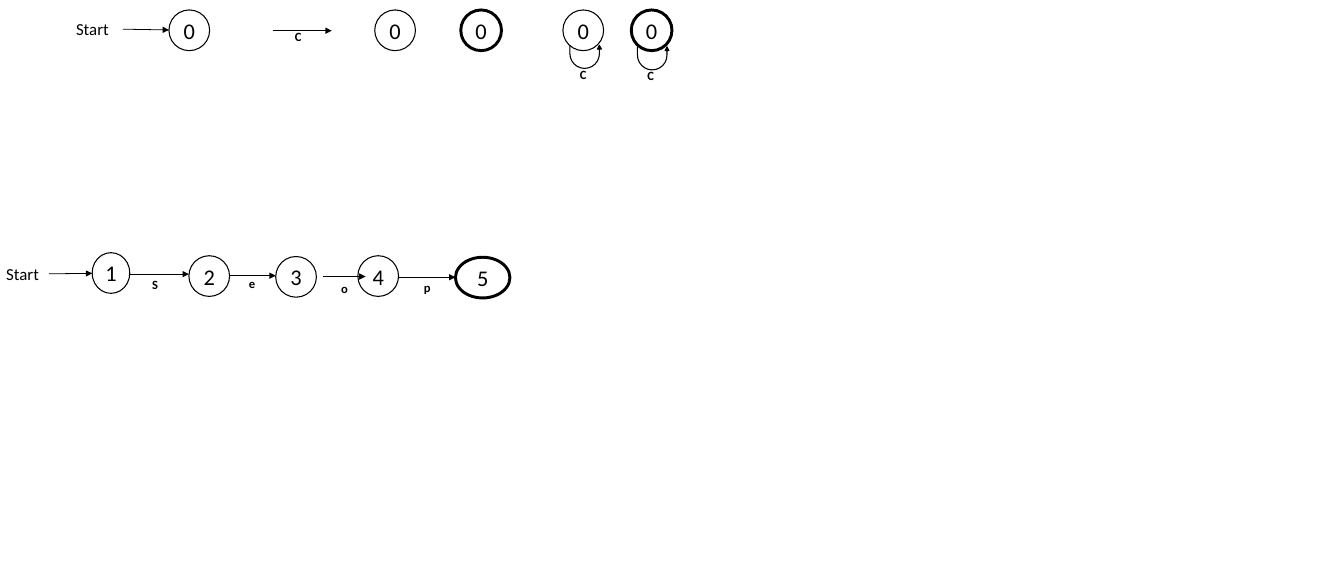
from collections import namedtuple

from lxml.etree import SubElement
from pptx import Presentation
from pptx.dml.color import RGBColor
from pptx.enum.shapes import MSO_CONNECTOR as Connector, MSO_SHAPE as Preset
from pptx.enum.text import MSO_ANCHOR as Anchor, PP_ALIGN as Align
from pptx.oxml.ns import qn
from pptx.util import Inches, Pt

BLACK = RGBColor(0, 0, 0)
COLUMNS, ROWS = 175, 75
SLIDE_WIDTH, SLIDE_HEIGHT = Inches(17.5), Inches(7.5)
STATE_SIZE = 5.3
THIN, ACCEPTING = 1, 2.75
LOOP_BENDS = (0, 0.085, 0.164, 0.717, 1)
STATE_FONT = {"name": "Calibri", "size": Pt(21)}
START_FONT = {"name": "Calibri", "size": Pt(15.8)}
SYMBOL_FONT = {"name": "Calibri", "size": Pt(11.8), "bold": True}

Box = namedtuple("Box", "left top")


def across(columns):
    """Turn grid columns into a slide length."""
    return round(SLIDE_WIDTH * columns / COLUMNS)


def down(rows):
    """Turn grid rows into a slide length."""
    return round(SLIDE_HEIGHT * rows / ROWS)


def place(box, x, y, width, height):
    """Return a slide rectangle for a grid rectangle inside a box."""
    return across(box.left + x), down(box.top + y), across(width), down(height)


def write(frame, text, font, insets, anchor, align):
    """Fill a text frame with one formatted line."""
    frame.word_wrap = True
    frame.vertical_anchor = anchor
    for side, inset in zip(("left", "top", "right", "bottom"), insets):
        setattr(frame, f"margin_{side}", Inches(inset))
    line = frame.paragraphs[0]
    line.alignment = align
    run = line.add_run()
    run.text = text
    for key, value in font.items():
        setattr(run.font, key, value)
    run.font.color.rgb = BLACK


def add_label(slide, box, x, y, text, font, width=2.2, height=3):
    """Write a left-aligned label."""
    label = slide.shapes.add_textbox(*place(box, x, y, width, height))
    write(label.text_frame, text, font, (0.09, 0.05, 0, 0.05), Anchor.TOP, Align.LEFT)


def add_outlined(slide, preset, area, weight):
    """Draw a preset shape with a black outline and no shadow."""
    outlined = slide.shapes.add_shape(preset, *area)
    outlined.shadow.inherit = False
    outlined.line.color.rgb = BLACK
    outlined.line.width = Pt(weight)
    return outlined


def add_state(slide, box, x, y, text, weight=THIN, width=STATE_SIZE):
    """Draw an automaton state."""
    state = add_outlined(slide, Preset.OVAL, place(box, x, y, width, STATE_SIZE), weight)
    state.fill.background()
    write(state.text_frame, text, STATE_FONT, (0, 0, 0, 0), Anchor.MIDDLE, Align.CENTER)


def add_arrow(slide, box, start, end):
    """Draw a transition arrow between two grid points."""
    ends = [length for x, y in (start, end)
            for length in (across(box.left + x), down(box.top + y))]
    arrow = slide.shapes.add_connector(Connector.STRAIGHT, *ends)
    arrow.line.color.rgb = BLACK
    arrow.line.width = Pt(0.75)
    SubElement(arrow.line._get_or_add_ln(), qn("a:tailEnd"), type="triangle")
    SubElement(arrow._element.spPr, qn("a:effectLst"))


def add_loop(slide, box, x, y, symbol):
    """Draw a labelled loop below a state."""
    loop = add_outlined(slide, Preset.U_TURN_ARROW, place(box, x, y, 4.1, 3), THIN)
    loop.fill.solid()
    loop.fill.fore_color.rgb = BLACK
    for index, bend in enumerate(LOOP_BENDS):
        loop.adjustments[index] = bend
    loop.rotation = 180
    loop._element.spPr.find(qn("a:xfrm")).set("flipH", "1")
    add_label(slide, box, x + 0.4, y + 2.3, symbol, SYMBOL_FONT)


def draw_legend(slide, box):
    """Show each kind of state and transition."""
    add_label(slide, box, 0, 0.7, "Start", START_FONT, 7, 3.7)
    add_arrow(slide, box, (7, 2.5), (13, 2.6))
    add_arrow(slide, box, (26.5, 2.7), (34.2, 2.7))
    add_label(slide, box, 28.5, 2, "C", SYMBOL_FONT)
    for x, weight in ((13, THIN), (39.8, THIN), (51, ACCEPTING),
                      (64.3, THIN), (73.2, ACCEPTING)):
        add_state(slide, box, x, 0, "0", weight)
    for x, y in ((65.2, 4.6), (74, 4.8)):
        add_loop(slide, box, x, y, "C")


def draw_word_chain(slide, box):
    """Show the automaton that accepts one word."""
    add_label(slide, box, -0.1, 0.9, "Start", START_FONT, 6.6, 3.7)
    add_arrow(slide, box, (6.4, 2.75), (12, 2.7))
    states = ((12, 0, THIN, 4.9), (24.6, 0.4, THIN, STATE_SIZE),
              (35.9, 0.5, THIN, STATE_SIZE), (46.6, 0.4, THIN, STATE_SIZE),
              (59.3, 0.6, ACCEPTING, 7.1))
    for number, (x, y, weight, width) in enumerate(states, 1):
        add_state(slide, box, x, y, str(number), weight, width)
    transitions = (("S", 16.9, 24.6, 2.8, 18.9, 2.7), ("e", 29.8, 35.9, 3, 31.5, 2.5),
                   ("o", 42, 47.6, 3.1, 43.5, 3.2), ("p", 51.8, 59.3, 3.2, 54.3, 3.1))
    for symbol, start, end, y, label_x, label_y in transitions:
        add_arrow(slide, box, (start, y), (end, y))
        add_label(slide, box, label_x, label_y, symbol, SYMBOL_FONT)


def main():
    """Build and save the automata slide."""
    deck = Presentation()
    deck.slide_width, deck.slide_height = SLIDE_WIDTH, SLIDE_HEIGHT
    slide = deck.slides.add_slide(deck.slide_layouts[6])
    draw_legend(slide, Box(9, 1.3))
    draw_word_chain(slide, Box(0, 32.9))
    deck.save("out.pptx")


if __name__ == "__main__":
    main()
